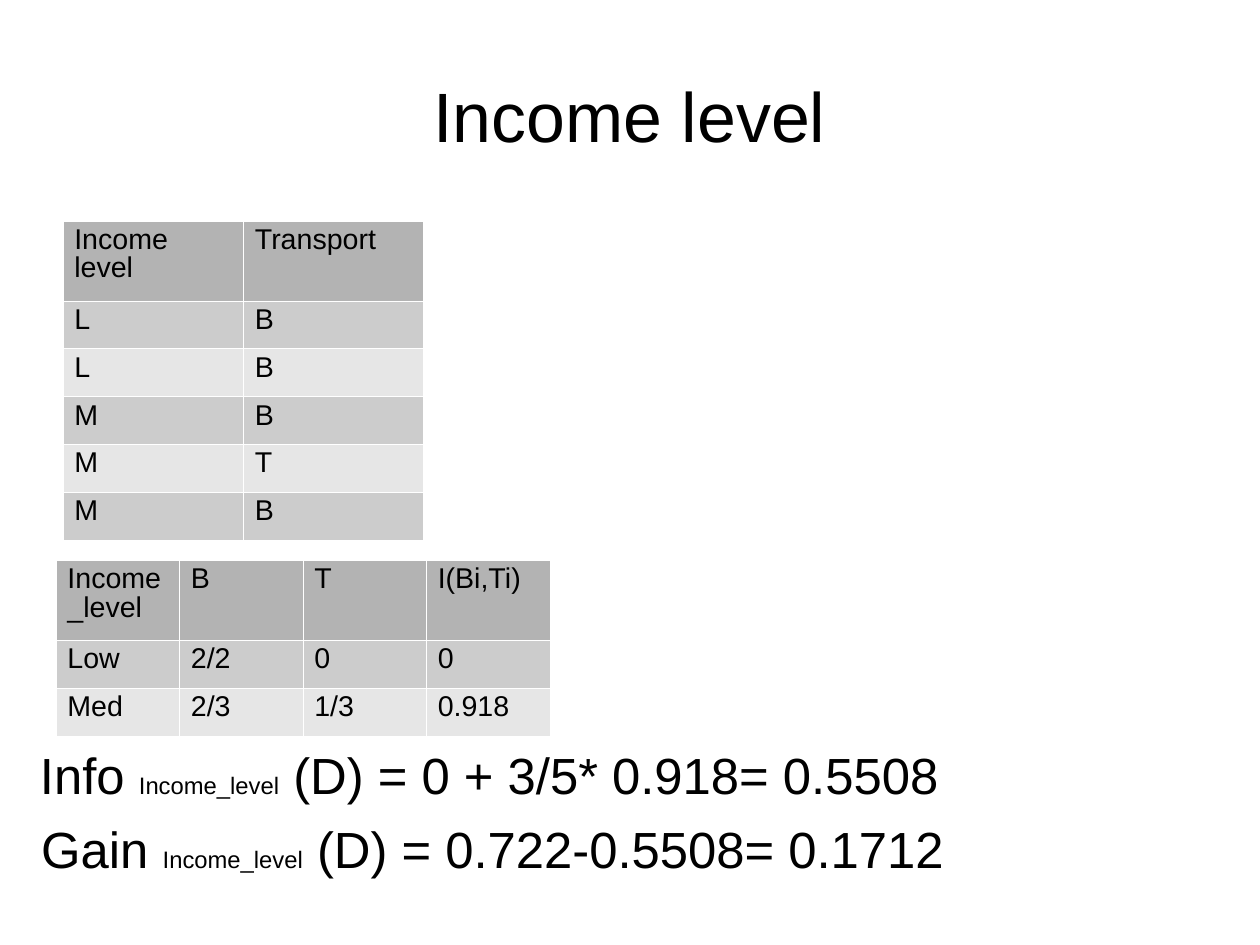
from lxml import etree
from pptx import Presentation
from pptx.dml.color import RGBColor
from pptx.enum.text import MSO_ANCHOR, PP_ALIGN
from pptx.oxml.ns import qn
from pptx.util import Cm, Inches, Pt

CENTER = PP_ALIGN.CENTER
LEFT = PP_ALIGN.LEFT
MIDDLE = MSO_ANCHOR.MIDDLE

COLORS = {
    "text": "000000",
    "border": "FFFFFF",
    "header": "B3B3B3",
    "odd_row": "CCCCCC",
    "even_row": "E6E6E6",
}
FONT = "Arial"
TITLE_SIZE, FORMULA_SIZE, SUBSCRIPT_SIZE, TABLE_SIZE = 44, 32, 15, 18
HEADER_HEIGHT, ROW_HEIGHT = 0.7, 0.42
BORDER_WIDTH = 0.06

TRANSPORT_ROWS = [
    ("Income level", "Transport"),
    ("L", "B"),
    ("L", "B"),
    ("M", "B"),
    ("M", "T"),
    ("M", "B"),
]
INFORMATION_ROWS = [
    ("Income_level", "B", "T", "I(Bi,Ti)"),
    ("Low", "2/2", "0", "0"),
    ("Med", "2/3", "1/3", "0.918"),
]


class SlideBuilder:
    def __init__(self, presentation):
        self.slide = presentation.slides.add_slide(presentation.slide_layouts[5])

    def add_runs(self, paragraph, runs, line_spacing, alignment=LEFT):
        """Fill a paragraph from (text, size) pairs."""
        paragraph.alignment = alignment
        paragraph.line_spacing = line_spacing
        for text, size in runs:
            run = paragraph.add_run()
            run.text = text
            run.font.name = FONT
            run.font.size = Pt(size)
            run.font.bold = False
            run.font.color.rgb = RGBColor.from_string(COLORS["text"])

    def set_frame(self, frame, top_margin):
        frame.word_wrap = True
        frame.vertical_anchor = MIDDLE
        frame.margin_left = frame.margin_right = frame.margin_bottom = 0
        frame.margin_top = Inches(top_margin)

    def add_title(self, text, left, top, width, height):
        title = self.slide.shapes.title
        title.left, title.top = Inches(left), Inches(top)
        title.width, title.height = Inches(width), Inches(height)
        self.set_frame(title.text_frame, 0.04)
        self.add_runs(title.text_frame.paragraphs[0], [(text, TITLE_SIZE)], 0.94, CENTER)

    def add_formula(self, measure, result, left, top):
        """Add a line whose measure carries the small attribute name."""
        box = self.slide.shapes.add_textbox(Inches(left), Inches(top), Inches(9.96), Inches(0.5))
        self.set_frame(box.text_frame, 0.03)
        runs = [
            (f"{measure} ", FORMULA_SIZE),
            ("Income_level", SUBSCRIPT_SIZE),
            (f" (D) = {result}", FORMULA_SIZE),
        ]
        self.add_runs(box.text_frame.paragraphs[0], runs, 0.84)

    def add_borders(self, cell):
        properties = cell._tc.get_or_add_tcPr()
        for side in ("lnL", "lnR", "lnT", "lnB"):
            line = etree.SubElement(properties, qn(f"a:{side}"), w=str(Pt(BORDER_WIDTH)))
            fill = etree.SubElement(line, qn("a:solidFill"))
            etree.SubElement(fill, qn("a:srgbClr"), val=COLORS["border"])

    def add_table(self, rows, left, top, column_widths):
        height = HEADER_HEIGHT + ROW_HEIGHT * (len(rows) - 1)
        table = self.slide.shapes.add_table(
            len(rows), len(column_widths), Inches(left), Inches(top),
            Inches(sum(column_widths)), Inches(height),
        ).table
        for column, width in zip(table.columns, column_widths):
            column.width = Inches(width)
        for row_index, values in enumerate(rows):
            if row_index == 0:
                row_height, color = HEADER_HEIGHT, "header"
            else:
                row_height = ROW_HEIGHT
                color = "odd_row" if row_index % 2 else "even_row"
            table.rows[row_index].height = Inches(row_height)
            for column_index, text in enumerate(values):
                cell = table.cell(row_index, column_index)
                self.add_borders(cell)
                cell.fill.solid()
                cell.fill.fore_color.rgb = RGBColor.from_string(COLORS[color])
                cell.margin_left = cell.margin_right = Inches(0.1)
                cell.margin_top = cell.margin_bottom = Inches(0.05)
                self.add_runs(cell.text_frame.paragraphs[0], [(text, TABLE_SIZE)], 0.89)


def main():
    presentation = Presentation()
    presentation.slide_width = Cm(28)
    presentation.slide_height = Cm(21)

    builder = SlideBuilder(presentation)
    builder.add_title("Income level", 0.55, 0.33, 9.92, 1.38)
    builder.add_table(TRANSPORT_ROWS, 0.55, 1.93, [1.58, 1.57])
    builder.add_table(INFORMATION_ROWS, 0.49, 4.9, [1.08] * 4)
    builder.add_formula("Info", "0 + 3/5* 0.918= 0.5508", 0.35, 6.55)
    builder.add_formula("Gain", "0.722-0.5508= 0.1712", 0.36, 7.2)

    presentation.save("out.pptx")


if __name__ == "__main__":
    main()
